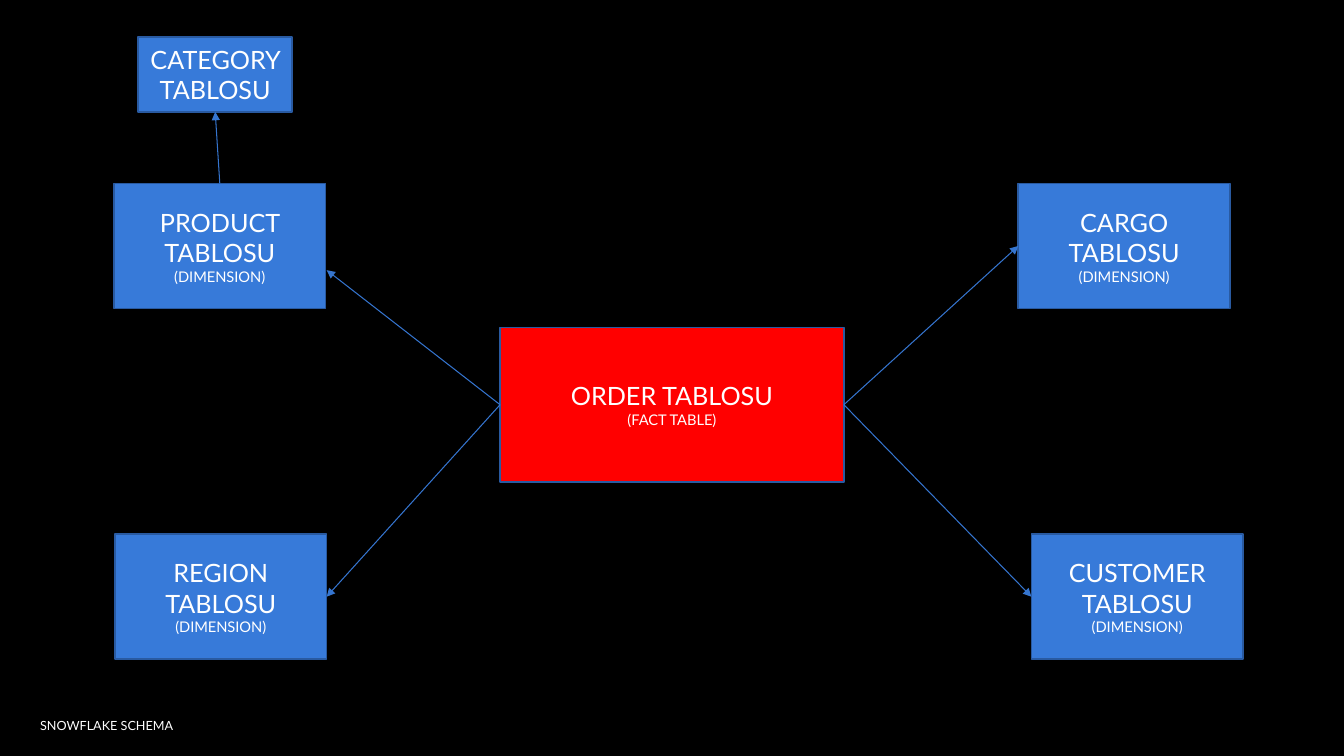
import pptx
import pptx.util
from pptx.dml.color import RGBColor
from pptx.enum.shapes import MSO_CONNECTOR, MSO_SHAPE
from pptx.enum.text import MSO_ANCHOR, PP_ALIGN
from pptx.oxml.ns import qn
from lxml import etree

Inches = pptx.util.Inches
Pt = pptx.util.Pt

BLACK = RGBColor(0x00, 0x00, 0x00)
WHITE = RGBColor(0xFF, 0xFF, 0xFF)
RED = RGBColor(0xFF, 0x00, 0x00)
BLUE = RGBColor(0x37, 0x7A, 0xD9)
BORDER = RGBColor(0x29, 0x5A, 0xA1)
ARROW = RGBColor(0x35, 0x75, 0xCF)
FONT = "Lato"

TOP, LEFT, BOTTOM, RIGHT = range(4)
DIMENSION_SIZE = (2.1, 1.24)
UPPER_ROW, LOWER_ROW = 1.82, 5.3

# name: (position, size, fill, note below the title)
TABLES = {
    "ORDER": ((4.96, 3.25), (3.41, 1.53), RED, "(FACT TABLE)"),
    "PRODUCT": ((1.13, UPPER_ROW), DIMENSION_SIZE, BLUE, "(DIMENSION)"),
    "CATEGORY": ((1.37, 0.37), (1.53, 0.74), BLUE, None),
    "REGION": ((1.14, LOWER_ROW), DIMENSION_SIZE, BLUE, "(DIMENSION)"),
    "CARGO": ((10.1, UPPER_ROW), DIMENSION_SIZE, BLUE, "(DIMENSION)"),
    "CUSTOMER": ((10.23, LOWER_ROW), DIMENSION_SIZE, BLUE, "(DIMENSION)"),
}

# start table, start side, end table, end side
JOINED_ARROWS = [
    ("ORDER", LEFT, "REGION", RIGHT),
    ("PRODUCT", TOP, "CATEGORY", BOTTOM),
    ("ORDER", RIGHT, "CARGO", LEFT),
    ("ORDER", RIGHT, "CUSTOMER", LEFT),
]
PRODUCT_ARROW_END = (3.24, 2.68)  # below the middle of the product table's side
CAPTION = "SNOWFLAKE SCHEMA"


def write(paragraph, text, size, align=PP_ALIGN.LEFT, color=WHITE):
    paragraph.alignment = align
    run = paragraph.add_run()
    run.text = text
    run.font.name = FONT
    run.font.size = Pt(size)
    run.font.color.rgb = color


def add_table_box(slide, name, position, size, fill, note):
    shape = slide.shapes.add_shape(
        MSO_SHAPE.RECTANGLE, *map(Inches, position + size))
    shape.shadow.inherit = False
    shape.fill.solid()
    shape.fill.fore_color.rgb = fill
    shape.line.color.rgb = BORDER
    shape.line.width = Pt(1.25)
    frame = shape.text_frame
    frame.word_wrap = True
    frame.vertical_anchor = MSO_ANCHOR.MIDDLE
    write(frame.paragraphs[0], f"{name} TABLOSU", size=18, align=PP_ALIGN.CENTER)
    if note:
        write(frame.add_paragraph(), note, size=10.5, align=PP_ALIGN.CENTER)
    return shape


def add_arrow(slide, start, start_side, end=None, end_side=None, end_point=(0, 0)):
    """Join two boxes, or run from a box to a free end point."""
    connector = slide.shapes.add_connector(
        MSO_CONNECTOR.STRAIGHT, 0, 0, *map(Inches, end_point))
    connector.begin_connect(start, start_side)
    if end is not None:
        connector.end_connect(end, end_side)
    connector.line.color.rgb = ARROW
    connector.line.width = Pt(0.75)
    etree.SubElement(connector.line._get_or_add_ln(), qn("a:tailEnd"), type="triangle")
    etree.SubElement(connector._element.spPr, qn("a:effectLst"))


def main():
    presentation = pptx.Presentation()
    presentation.slide_width = Inches(13.33)
    presentation.slide_height = Inches(7.5)
    slide = presentation.slides.add_slide(presentation.slide_layouts[6])
    slide.background.fill.solid()
    slide.background.fill.fore_color.rgb = BLACK

    boxes = {name: add_table_box(slide, name, *table)
             for name, table in TABLES.items()}
    add_arrow(slide, boxes["ORDER"], LEFT, end_point=PRODUCT_ARROW_END)
    for start, start_side, end, end_side in JOINED_ARROWS:
        add_arrow(slide, boxes[start], start_side, boxes[end], end_side)

    caption = slide.shapes.add_textbox(
        Inches(0.3), Inches(7.07), Inches(1.74), Inches(0.25))
    caption.text_frame.word_wrap = True
    write(caption.text_frame.paragraphs[0], CAPTION, size=9)

    presentation.save("out.pptx")


if __name__ == "__main__":
    main()
